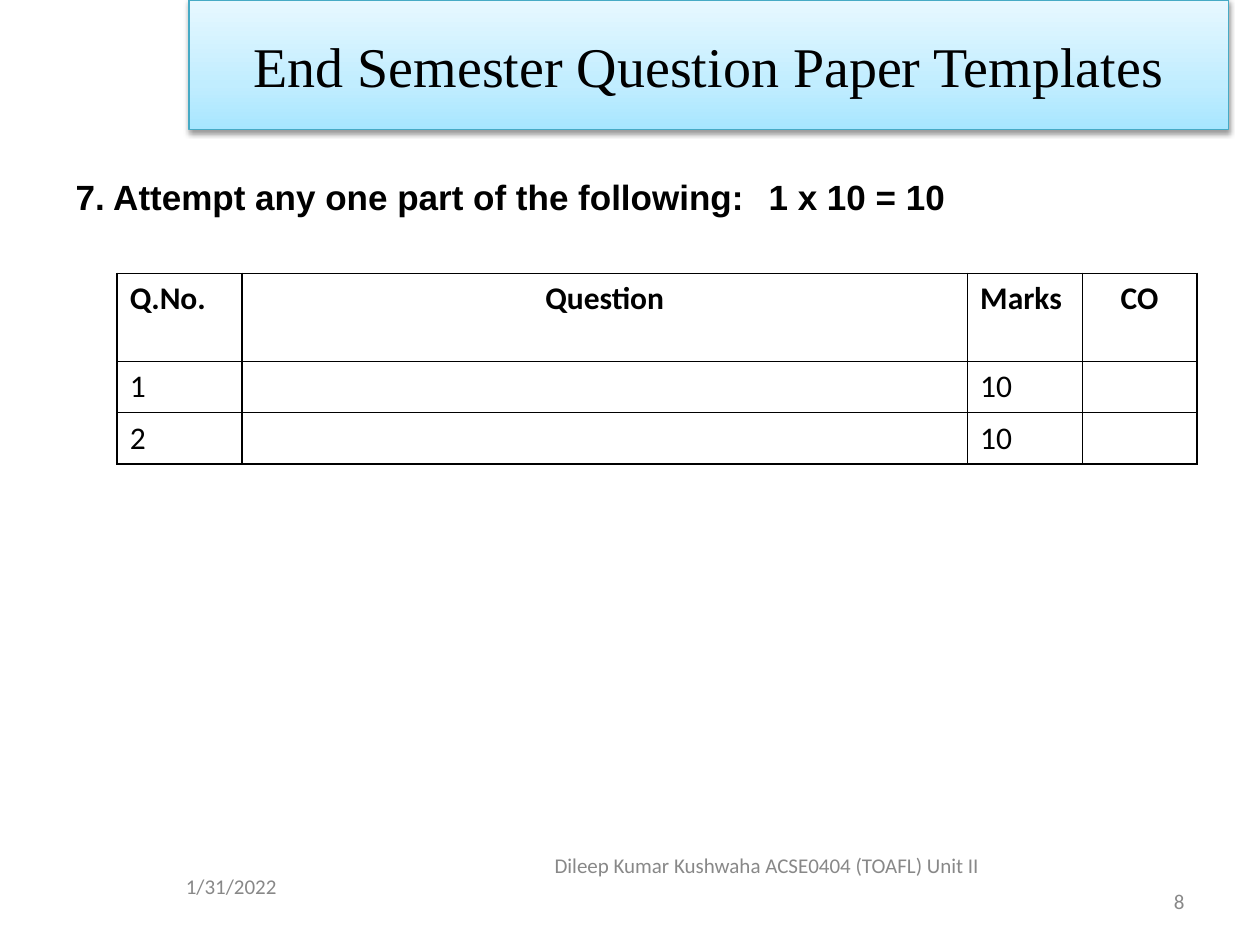
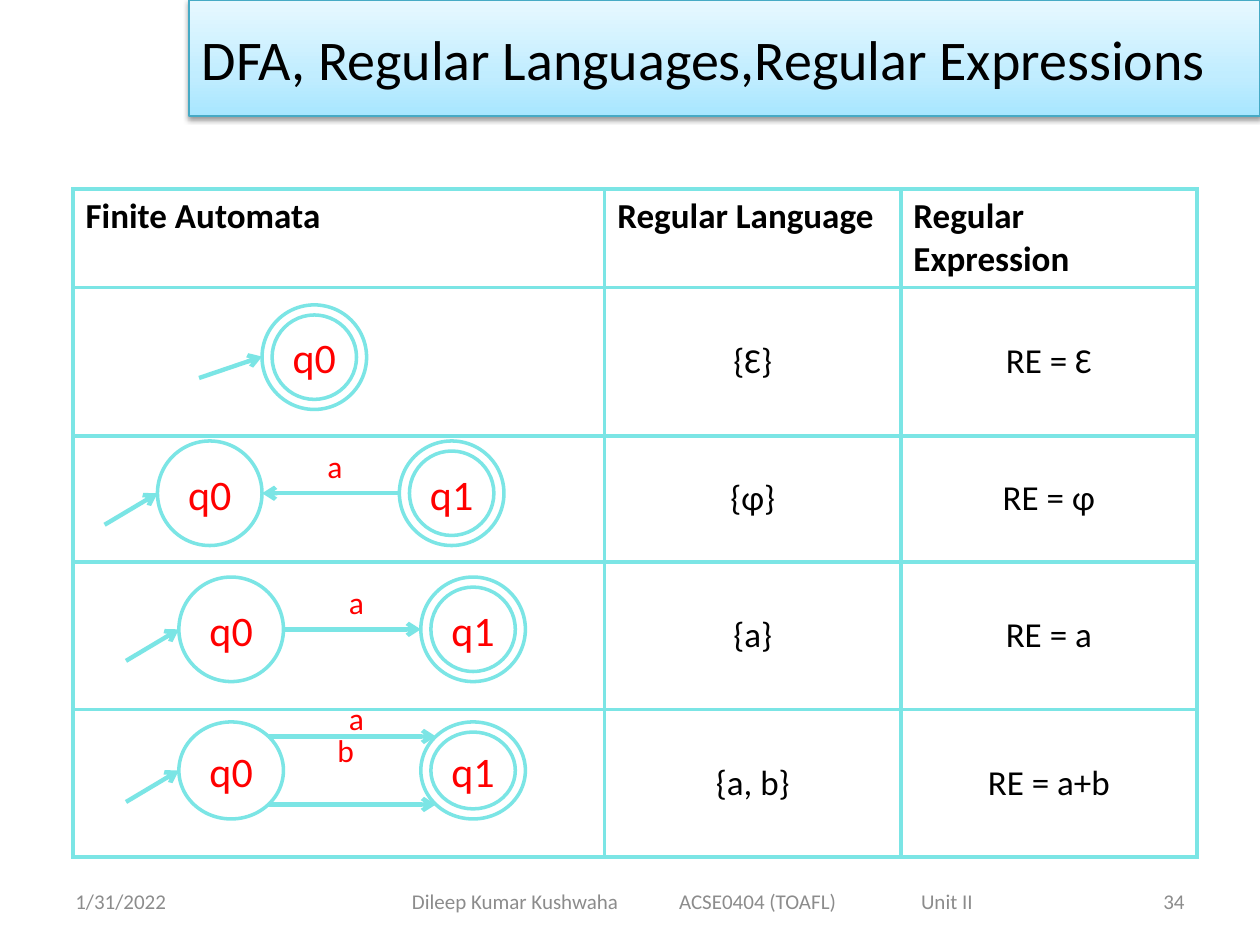
from lxml import etree
from pptx import Presentation
from pptx.dml.color import RGBColor
from pptx.enum import shapes, text
from pptx.oxml import ns
from pptx.util import Inches, Pt

BLACK, WHITE, RED, AQUA = "000000", "FFFFFF", "FF0000", "7BE5E5"
BAND_LINE = "46AAC5"
BAND_STOPS = [(0, "A7E6FF"), (35, "C1EDFF"), (100, "E7F8FF")]
LEFT, CENTER, RIGHT = text.PP_ALIGN.LEFT, text.PP_ALIGN.CENTER, text.PP_ALIGN.RIGHT
MIDDLE = text.MSO_ANCHOR.MIDDLE
TITLE_AND_CONTENT, TITLE_ONLY = 1, 5
STATE_SIZE = 0.83
RING_GAP = 0.08


def rgb(value):
    return RGBColor.from_string(value)


def child(parent, tag, **attributes):
    """Append a drawing element such as a:ln and return it."""
    element = etree.SubElement(parent, ns.qn(tag))
    for name, value in attributes.items():
        element.set(name, str(value))
    return element


def style_para(para, size, color=BLACK, font="Calibri", bold=False, align=LEFT):
    para.alignment = align
    para.font.size = Pt(size)
    para.font.name = font
    para.font.bold = bold
    para.font.color.rgb = rgb(color)


def add_tabs(para, stops):
    """Set tab stops given as (inches, 'l' or 'r')."""
    tab_list = child(para._p.get_or_add_pPr(), "a:tabLst")
    for position, align in stops:
        child(tab_list, "a:tab", pos=Inches(position), algn=align)


def place(shape, left, top, width, height):
    shape.left, shape.top = Inches(left), Inches(top)
    shape.width, shape.height = Inches(width), Inches(height)


def set_title(slide, words, width, height, font, align):
    """Turn the title into the shaded band at the top."""
    title = slide.shapes.title
    place(title, 1.5, 0, width, height)
    title.line.color.rgb = rgb(BAND_LINE)
    title.line.width = Pt(0.75)
    gradient = etree.Element(ns.qn("a:gradFill"), rotWithShape="1")
    stops = child(gradient, "a:gsLst")
    for percent, color in BAND_STOPS:
        child(child(stops, "a:gs", pos=percent * 1000), "a:srgbClr", val=color)
    child(gradient, "a:lin", ang=270 * 60000, scaled=1)
    properties = title._element.spPr
    properties.find(ns.qn("a:ln")).addprevious(gradient)
    shadow = child(child(properties, "a:effectLst"), "a:outerShdw", blurRad=Pt(3.1),
                   dist=Pt(1.6), dir=90 * 60000, rotWithShape=0)
    child(child(shadow, "a:srgbClr", val=BLACK), "a:alpha", val=38000)

    frame = title.text_frame
    frame.text = words
    frame.auto_size = text.MSO_AUTO_SIZE.NONE
    frame.vertical_anchor = MIDDLE
    style_para(frame.paragraphs[0], 32, font=font, align=align)


def add_label(slide, words, left, top, width, height, size, color, align=LEFT, tabs=()):
    box = slide.shapes.add_textbox(*map(Inches, (left, top, width, height)))
    frame = box.text_frame
    frame.word_wrap = True
    frame.text = words
    para = frame.paragraphs[0]
    if tabs:
        add_tabs(para, tabs)
    style_para(para, size, color, align=align)
    return frame


def add_footer(slide, words, left, top, width, color, align=LEFT, tabs=()):
    frame = add_label(slide, words, left, top, width, 0.4, 12, color, align, tabs)
    frame.vertical_anchor = MIDDLE
    return frame


def add_grid(slide, left, top, widths, heights, line_color, line_width):
    """Add a white table whose cells all have the same border."""
    frame = slide.shapes.add_table(len(heights), len(widths), Inches(left), Inches(top),
                                   Inches(sum(widths)), Inches(sum(heights)))
    table = frame.table
    table.first_row = table.horz_banding = False
    for column, width in zip(table.columns, widths):
        column.width = Inches(width)
    for row, height in zip(table.rows, heights):
        row.height = Inches(height)
    for cell in table.iter_cells():
        properties = cell._tc.get_or_add_tcPr()
        for side in ("a:lnL", "a:lnR", "a:lnT", "a:lnB"):
            line = child(properties, side, w=Pt(line_width))
            child(child(line, "a:solidFill"), "a:srgbClr", val=line_color)
        cell.fill.solid()
        cell.fill.fore_color.rgb = rgb(WHITE)
    return table


def fill_cell(cell, words, size, bold=False, align=LEFT):
    cell.text = words
    style_para(cell.text_frame.paragraphs[0], size, bold=bold, align=align)


def add_arrow(slide, start, end):
    points = map(Inches, (*start, *end))
    arrow = slide.shapes.add_connector(shapes.MSO_CONNECTOR.STRAIGHT, *points)
    arrow.line.color.rgb = rgb(AQUA)
    arrow.line.width = Pt(2.5)
    child(arrow.line._get_or_add_ln(), "a:tailEnd", type="arrow")
    child(arrow._element.spPr, "a:effectLst")


def add_ring(slide, left, top, width, height):
    ring = slide.shapes.add_shape(shapes.MSO_SHAPE.OVAL,
                                  *map(Inches, (left, top, width, height)))
    ring.shadow.inherit = False
    ring.fill.background()
    ring.line.color.rgb = rgb(AQUA)
    ring.line.width = Pt(2)
    return ring


def add_state(slide, name, left, top, height=STATE_SIZE, final=False):
    """Draw an automaton state; a final state has a second ring inside."""
    if final:
        add_ring(slide, left + RING_GAP, top + RING_GAP,
                 STATE_SIZE - 2 * RING_GAP, height - 2 * RING_GAP)
    frame = add_ring(slide, left, top, STATE_SIZE, height).text_frame
    frame.margin_left = frame.margin_right = 0
    frame.vertical_anchor = MIDDLE
    frame.text = name
    style_para(frame.paragraphs[0], 24, RED, align=CENTER)


def add_start_arrow(slide, left, middle, run=0.42, drop=0.25):
    add_arrow(slide, (left - run, middle + drop), (left, middle))


def add_symbol(slide, symbol, left, top):
    add_label(slide, symbol, left, top, 0.58, 0.4, 18, RED)


def add_state_pair(slide, left, top, height=STATE_SIZE):
    """Draw q0 and final q1; return q0's right edge, q1's left edge and the middle."""
    second, middle = left + 1.92, top + height / 2
    add_state(slide, "q0", left, top, height)
    add_state(slide, "q1", second, top, height, final=True)
    add_start_arrow(slide, left, middle)
    return left + STATE_SIZE, second, middle


def draw_automata(slide):
    add_state(slide, "q0", 2.08, 2.42, final=True)
    add_start_arrow(slide, 2.08, 2.83, run=0.5, drop=0.17)

    near, far, middle = add_state_pair(slide, 1.25, 3.5)
    add_arrow(slide, (far, middle), (near, middle))
    add_symbol(slide, "a", 2.5, 3.5)

    near, far, middle = add_state_pair(slide, 1.42, 4.58)
    add_arrow(slide, (near, middle), (far, middle))
    add_symbol(slide, "a", 2.67, 4.58)

    near, far, middle = add_state_pair(slide, 1.42, 5.73, height=0.77)
    for offset in (-0.27, 0.27):
        add_arrow(slide, (near - 0.12, middle + offset), (far + 0.12, middle + offset))
    add_symbol(slide, "a", 2.67, 5.5)
    add_symbol(slide, "b", 2.58, 5.75)


def build_question_paper(deck):
    slide = deck.slides.add_slide(deck.slide_layouts[TITLE_AND_CONTENT])
    set_title(slide, "End Semester Question Paper Templates", 8.25, 1.03,
              "Times New Roman", CENTER)

    body = slide.placeholders[1]
    place(body, 0.5, 1.34, 9, 5.2)
    body.text_frame.text = "7. Attempt any one part of the following:\t1 x 10 = 10"
    para = body.text_frame.paragraphs[0]
    para.space_before = Pt(0)
    properties = para._p.get_or_add_pPr()
    properties.set("marL", "0")
    properties.set("indent", "0")
    child(properties, "a:buNone")
    add_tabs(para, [(8.78, "r")])
    style_para(para, 20, font="Arial", bold=True)

    table = add_grid(slide, 0.93, 2.17, [0.99, 5.76, 0.91, 0.91], [0.7, 0.4, 0.4], BLACK, 1)
    headings = [("Q.No.", LEFT), ("Question", CENTER), ("Marks", LEFT), ("CO", CENTER)]
    for column, (heading, align) in enumerate(headings):
        fill_cell(table.cell(0, column), heading, 18, bold=True, align=align)
    for row in (1, 2):
        fill_cell(table.cell(row, 0), str(row), 18)
        fill_cell(table.cell(row, 2), "10", 18)

    gray = "888888"
    add_footer(slide, "1/31/2022", 0.25, 6.83, 3.17, gray, CENTER)
    add_footer(slide, "Dileep Kumar Kushwaha ACSE0404 (TOAFL) Unit II",
               3.17, 6.67, 4.7, gray, RIGHT)
    add_footer(slide, "8", 7.17, 6.95, 2.33, gray, RIGHT)


def build_automata(deck):
    slide = deck.slides.add_slide(deck.slide_layouts[TITLE_ONLY])
    set_title(slide, "DFA, Regular Languages,Regular Expressions", 8.5, 0.92,
              "Calibri", LEFT)

    table = add_grid(slide, 0.58, 1.5, [4.22, 2.35, 2.35],
                     [0.78, 1.18, 1, 1.17, 1.17], AQUA, 2.25)
    headings = ["Finite Automata", "Regular Language", "Regular Expression"]
    for column, heading in enumerate(headings):
        fill_cell(table.cell(0, column), heading, 20, bold=True)
    languages = [("{Ɛ}", "RE = Ɛ"), ("{φ}", "RE = φ"), ("{a}", "RE = a"),
                 ("{a, b}", "RE = a+b")]
    for row, pair in enumerate(languages, start=1):
        for column, words in enumerate(pair, start=1):
            cell = table.cell(row, column)
            fill_cell(cell, words, 20, align=CENTER)
            cell.vertical_anchor = MIDDLE
    draw_automata(slide)

    gray = "8C8C8C"
    add_footer(slide, "1/31/2022", 0.5, 6.95, 2.33, gray)
    course = add_footer(slide, "Dileep Kumar Kushwaha\tACSE0404 (TOAFL)\tUnit II",
                        2.75, 6.95, 5.5, gray, tabs=[(2.54, "l"), (4.46, "l")])
    course.margin_left = Inches(0.52)
    for tab, position in zip(course._txBody.iter(ns.qn("a:tab")), (2.12, 4.04)):
        tab.set("pos", str(Inches(position)))
    add_footer(slide, "34", 7.17, 6.95, 2.33, gray, RIGHT)


def main():
    deck = Presentation()
    deck.slide_width, deck.slide_height = Inches(10), Inches(7.5)
    build_question_paper(deck)
    build_automata(deck)
    deck.save("out.pptx")


if __name__ == "__main__":
    main()
